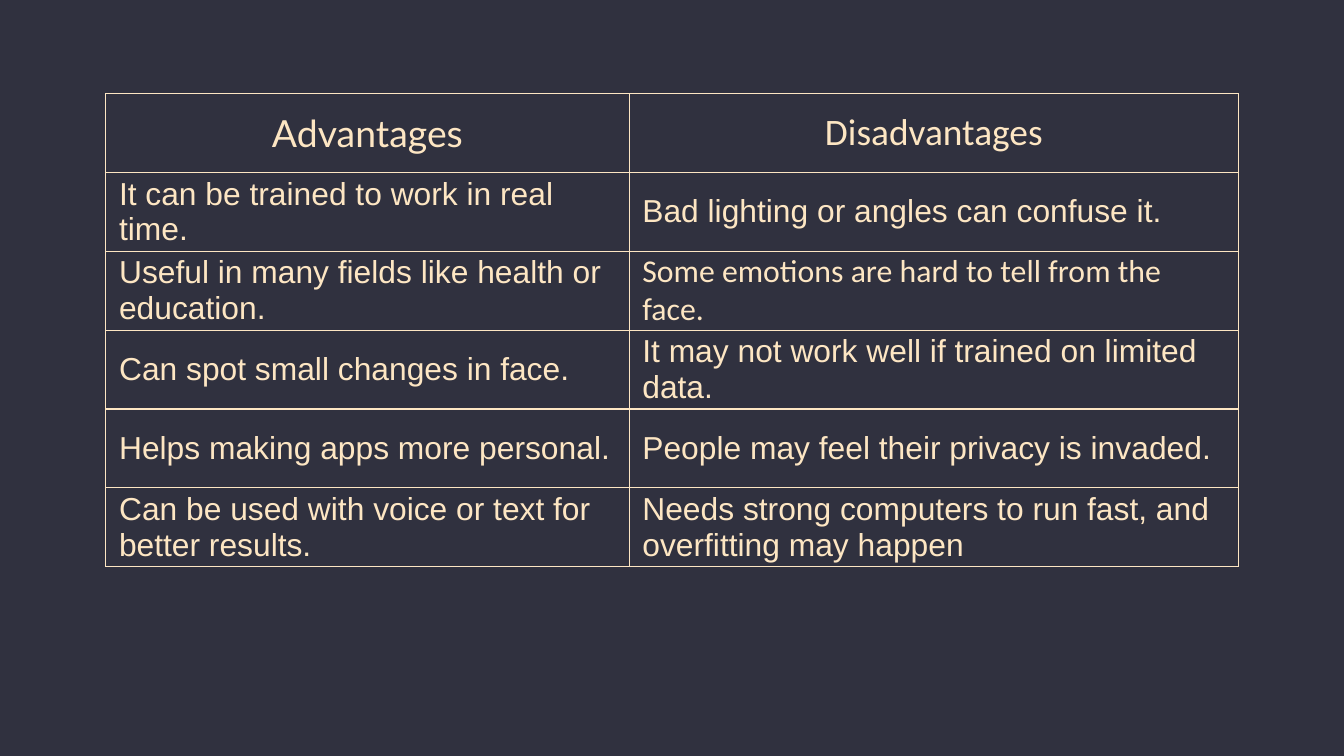
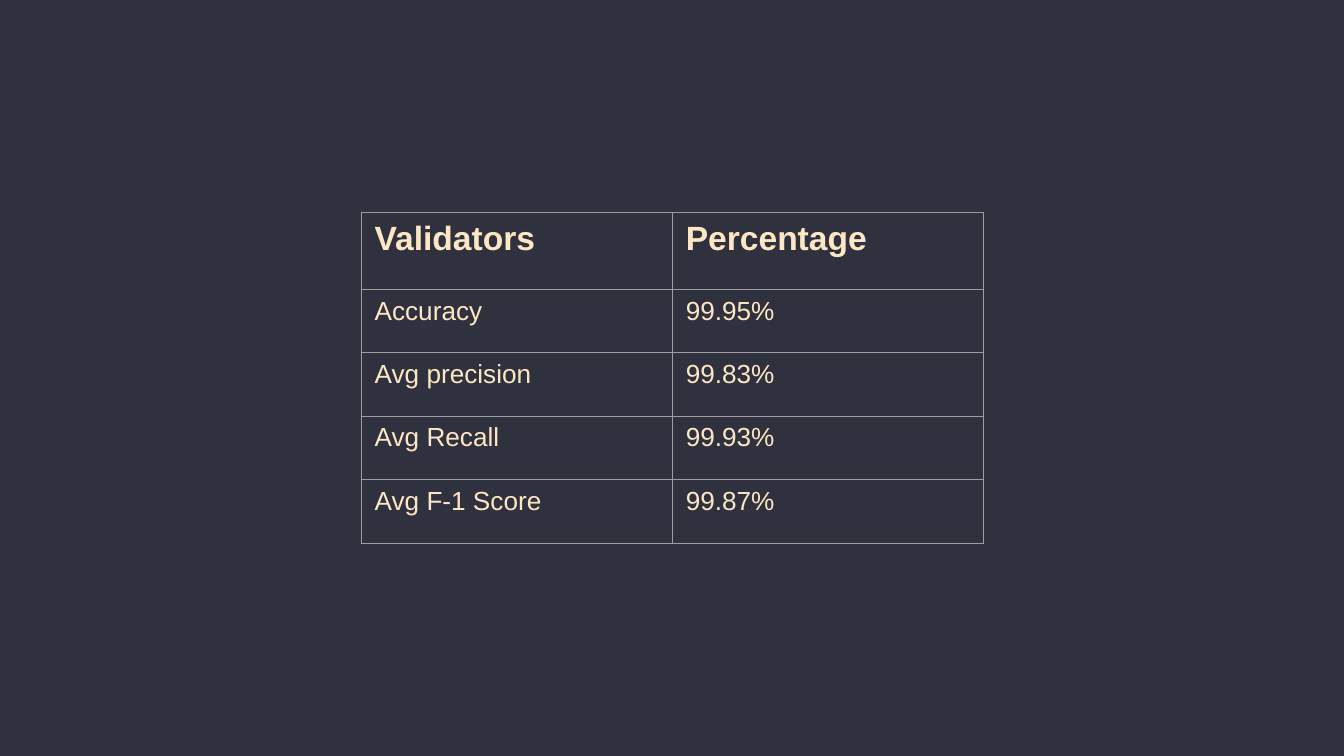
from lxml import etree
from pptx import Presentation
from pptx.dml.color import RGBColor
from pptx.enum.text import MSO_ANCHOR, PP_ALIGN
from pptx.oxml.ns import qn
from pptx.util import Cm, Pt

CENTER, LEFT = PP_ALIGN.CENTER, PP_ALIGN.LEFT
MIDDLE, TOP = MSO_ANCHOR.MIDDLE, MSO_ANCHOR.TOP

BACKGROUND = "30313F"
CREAM = "FDE6C3"
GREY = "9E9E9E"
BLANK_LAYOUT = 6
BORDER_WIDTH = Pt(0.75)
SIDE_MARGIN = Cm(0.25)

PROS_AND_CONS = [
    ("Advantages", "Disadvantages"),
    ("It can be trained to work in real time.",
     "Bad lighting or angles can confuse it."),
    ("Useful in many fields like health or education.",
     "Some emotions are hard to tell from the face."),
    ("Can spot small changes in face.",
     "It may not work well if trained on limited data."),
    ("Helps making apps more personal.",
     "People may feel their privacy is invaded."),
    ("Can be used with voice or text for better results.",
     "Needs strong computers to run fast, and overfitting may happen"),
]
SCORES = [
    ("Validators", "Percentage"),
    ("Accuracy", "99.95%"),
    ("Avg precision", "99.83%"),
    ("Avg Recall", "99.93%"),
    ("Avg F-1 Score", "99.87%"),
]


def rgb(hex_color):
    return RGBColor.from_string(hex_color)


def add_dark_slide(prs):
    slide = prs.slides.add_slide(prs.slide_layouts[BLANK_LAYOUT])
    slide.background.fill.solid()
    slide.background.fill.fore_color.rgb = rgb(BACKGROUND)
    return slide


def set_borders(cell, color):
    properties = cell._tc.get_or_add_tcPr()
    for position, side in enumerate(("lnL", "lnR", "lnT", "lnB")):
        line = etree.Element(qn(f"a:{side}"), w=str(BORDER_WIDTH))
        fill = etree.SubElement(line, qn("a:solidFill"))
        etree.SubElement(fill, qn("a:srgbClr"), val=color)
        properties.insert(position, line)


def style_text(cell, size, font="Arial", bold=False, align=LEFT):
    paragraph = cell.text_frame.paragraphs[0]
    paragraph.alignment = align
    for run in paragraph.runs:
        run.font.name = font
        run.font.size = Pt(size)
        run.font.bold = bold
        run.font.color.rgb = rgb(CREAM)


def add_grid(slide, rows, left, top, widths, heights, border,
             anchor=TOP, inset=Cm(0.13)):
    """Add an unfilled table with the same border round every cell."""
    table = slide.shapes.add_table(len(rows), len(widths), left, top,
                                   sum(widths), sum(heights)).table
    table.first_row = table.horz_banding = False
    for column, width in zip(table.columns, widths):
        column.width = width
    for row, height, texts in zip(table.rows, heights, rows):
        row.height = height
        for cell, text in zip(row.cells, texts):
            cell.text_frame.text = text
            cell.fill.background()
            cell.vertical_anchor = anchor
            cell.margin_left = cell.margin_right = SIDE_MARGIN
            cell.margin_top = cell.margin_bottom = inset
            set_borders(cell, border)
    return table


def build_pros_and_cons(slide, left, top):
    heights = [Cm(1.49)] * len(PROS_AND_CONS)
    table = add_grid(slide, PROS_AND_CONS, left, top, [Cm(9.89), Cm(11.52)],
                     heights, CREAM, MIDDLE, Cm(0))
    for cell in table.iter_cells():
        style_text(cell, 17)
    for column, font in enumerate(("Lato", "Calibri")):
        style_text(table.cell(0, column), 20, font, align=CENTER)
    hard_emotions = table.cell(2, 1)
    style_text(hard_emotions, 17, "Calibri")


def build_scores(slide, left, top):
    heights = [Cm(1.45)] + [Cm(1.2)] * (len(SCORES) - 1)
    table = add_grid(slide, SCORES, left, top, [Cm(5.88)] * 2, heights, GREY)
    for index, row in enumerate(table.rows):
        is_header = index == 0
        for cell in row.cells:
            style_text(cell, 18 if is_header else 14, bold=is_header)


def main():
    prs = Presentation()
    prs.slide_width, prs.slide_height = Cm(25.4), Cm(14.29)
    build_pros_and_cons(add_dark_slide(prs), Cm(2), Cm(1.77))
    build_scores(add_dark_slide(prs), Cm(6.83), Cm(4.02))
    prs.save("out.pptx")


if __name__ == "__main__":
    main()
